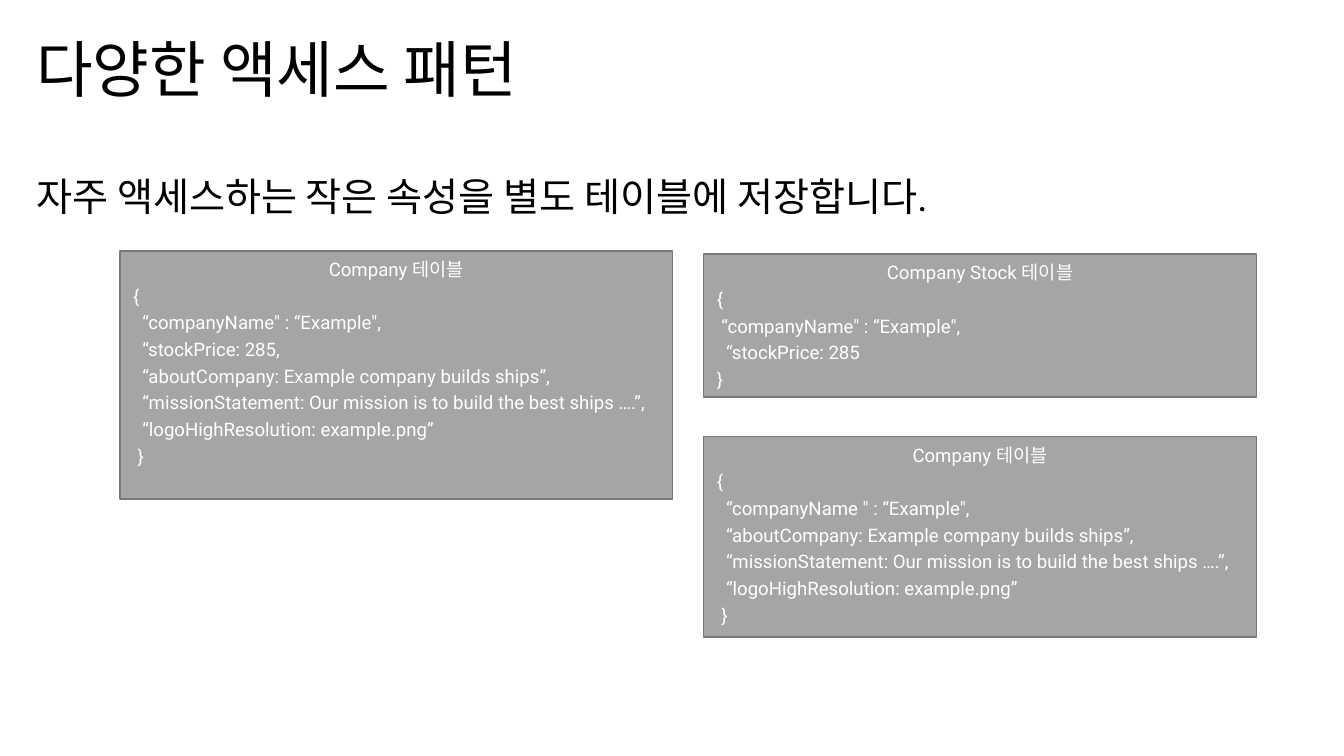
"""Build the slide on splitting a company table by access pattern."""
import pptx
import pptx.dml.color
import pptx.enum.shapes
import pptx.enum.text
import pptx.oxml.ns
import pptx.util
from lxml import etree

Inches = pptx.util.Inches
Pt = pptx.util.Pt
Align = pptx.enum.text.PP_ALIGN
Anchor = pptx.enum.text.MSO_ANCHOR

FONT = "Roboto"
BLACK, WHITE, GRAY, DARK_GRAY = "000000", "FFFFFF", "A5A5A5", "7A7A7A"
TITLE = "다양한 액세스 패턴"
BODY = "자주 액세스하는 작은 속성을 별도 테이블에 저장합니다."
DETAILS = [
    "  “aboutCompany: Example company builds ships”,",
    "  “missionStatement: Our mission is to build the best ships ….”,",
    "  “logoHighResolution: example.png”",
    " }",
]
TABLE_WIDTH = 5.48
TABLES = [
    (1.19, 2.49, 2.46, "Company 테이블",
     ["{", "  “companyName\" : “Example\",", "  “stockPrice: 285,"] + DETAILS),
    (6.98, 2.52, 1.42, "Company Stock 테이블",
     ["{", " “companyName\" : “Example\",", "  “stockPrice: 285", "}"]),
    (6.98, 4.33, 1.99, "Company 테이블",
     ["{", "  “companyName \" : “Example\","] + DETAILS),
]


def color(value):
    return pptx.dml.color.RGBColor.from_string(value)


def add_text(paragraph, text, size, text_color, align=Align.LEFT):
    paragraph.alignment = align
    run = paragraph.add_run()
    run.text = text
    run.font.name = FONT
    run.font.size = Pt(size)
    run.font.color.rgb = color(text_color)


def fill_placeholder(shape, box, text, size, anchor):
    shape.left, shape.top, shape.width, shape.height = map(Inches, box)
    frame = shape.text_frame
    frame.auto_size = pptx.enum.text.MSO_AUTO_SIZE.NONE
    frame.vertical_anchor = anchor
    paragraph = frame.paragraphs[0]
    paragraph.space_before = Pt(0)
    add_text(paragraph, text, size, text_color=BLACK)
    return paragraph


def remove_bullet(paragraph):
    properties = paragraph._p.get_or_add_pPr()
    properties.set("marL", "0")
    properties.set("indent", "0")
    etree.SubElement(properties, pptx.oxml.ns.qn("a:buNone"))


def add_table_box(slide, left, top, height, heading, code):
    shape = slide.shapes.add_shape(
        pptx.enum.shapes.MSO_SHAPE.RECTANGLE,
        Inches(left), Inches(top), Inches(TABLE_WIDTH), Inches(height))
    shape.shadow.inherit = False
    shape.fill.solid()
    shape.fill.fore_color.rgb = color(GRAY)
    shape.line.color.rgb = color(DARK_GRAY)
    shape.line.width = Pt(1)
    frame = shape.text_frame
    frame.word_wrap = True
    frame.vertical_anchor = Anchor.TOP
    frame.margin_left = frame.margin_right = Inches(0.13)
    frame.margin_top = frame.margin_bottom = Inches(0.07)
    add_text(frame.paragraphs[0], heading, 13.3, WHITE, Align.CENTER)
    for line in code:
        paragraph = frame.add_paragraph()
        paragraph.space_before = Pt(3.1)
        add_text(paragraph, line, 13.3, WHITE)


def main():
    presentation = pptx.Presentation()
    presentation.slide_width = Inches(13.33)
    presentation.slide_height = Inches(7.5)
    slide = presentation.slides.add_slide(presentation.slide_layouts[1])
    title, body = slide.placeholders
    heading = fill_placeholder(title, (0.26, 0.29, 12.16, 0.85), TITLE, 44, Anchor.MIDDLE)
    heading.line_spacing = 0.9
    message = fill_placeholder(body, (0.26, 1.66, 11.5, 5.37), BODY, 28, Anchor.TOP)
    message.space_after = Pt(6)
    remove_bullet(message)
    for table in TABLES:
        add_table_box(slide, *table)
    presentation.save("out.pptx")


if __name__ == "__main__":
    main()
